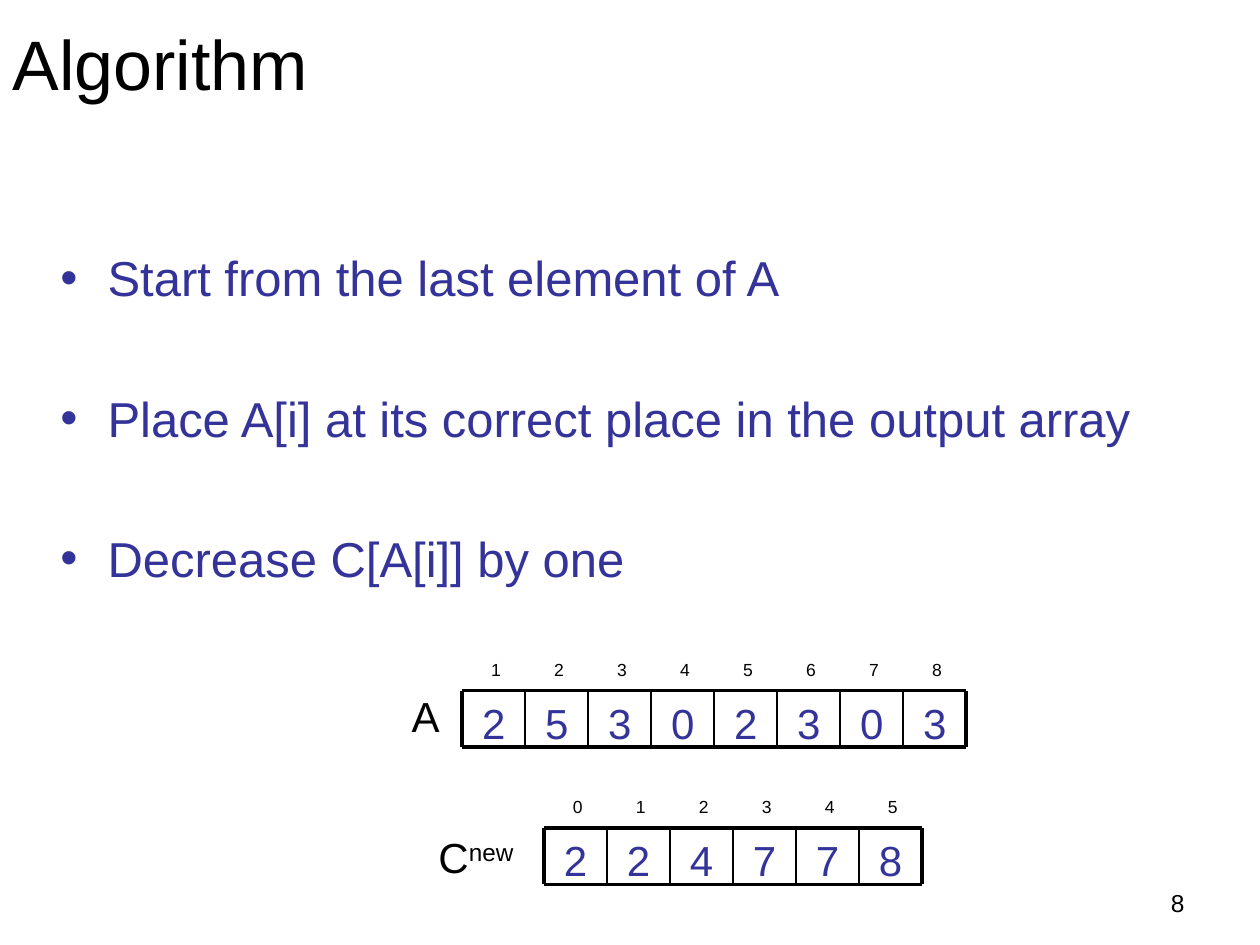
"""Build the slide on placing array elements in counting sort."""
import pptx
import pptx.dml.color
import pptx.enum.shapes
import pptx.enum.text
import pptx.oxml.ns
import pptx.util
from lxml import etree

Cm = pptx.util.Cm
Pt = pptx.util.Pt
qn = pptx.oxml.ns.qn
ALIGN = pptx.enum.text.PP_ALIGN
ANCHOR = pptx.enum.text.MSO_ANCHOR
COLORS = {"ink": "000000", "blue": "333399", "paper": "FFFFFF"}


def write(par, text, size, color="ink"):
    run = par.add_run()
    run.text = text
    run.font.name = "Arial"
    run.font.size = Pt(size)
    run.font.color.rgb = pptx.dml.color.RGBColor.from_string(COLORS[color])
    return run


def rule(x1, y1, x2, y2, width):
    line = slide.shapes.add_connector(
        pptx.enum.shapes.MSO_CONNECTOR.STRAIGHT, Cm(x1), Cm(y1), Cm(x2), Cm(y2))
    line.line.width = Pt(width)
    line.line.color.rgb = pptx.dml.color.RGBColor.from_string(COLORS["ink"])
    etree.SubElement(line._element.spPr, qn("a:effectLst"))


deck = pptx.Presentation()
deck.slide_width, deck.slide_height = Cm(25.4), Cm(19.05)
slide = deck.slides.add_slide(deck.slide_layouts[5])
slide.background.fill.solid()
slide.background.fill.fore_color.rgb = pptx.dml.color.RGBColor.from_string(COLORS["paper"])

title = slide.shapes.title
title.left, title.top, title.width, title.height = Cm(0), Cm(0), Cm(22.86), Cm(2.51)
title.text_frame.vertical_anchor = ANCHOR.MIDDLE
title.text_frame.paragraphs[0].alignment = ALIGN.LEFT
write(title.text_frame.paragraphs[0], "Algorithm", 40)

body = slide.shapes.add_textbox(Cm(0.97), Cm(3.38), Cm(22.86), Cm(14.1)).text_frame
body.word_wrap = True
body.margin_top = Cm(1.62)
steps = [
    "Start from the last element of A",
    "Place A[i] at its correct place in the output array",
    "Decrease C[A[i]] by one",
]
for i, step in enumerate(steps):
    par = body.add_paragraph() if i else body.paragraphs[0]
    props = par._p.get_or_add_pPr()
    props.set("marL", str(Cm(0.95)))
    props.set("indent", str(-Cm(0.95)))
    etree.SubElement(props, qn("a:buFont")).set("typeface", "Arial")
    etree.SubElement(props, qn("a:buChar")).set("char", "•")
    if i:
        par.space_before = Pt(46.4)
    write(par, step, 28, "blue")

cell, high = 1.27, 1.14
rows = [
    ("A", "", (8.05, 13.79, 1.07), 9.32, 13.92, 1, "25302303"),
    ("C", "new", (8.59, 16.64, 2.18), 10.97, 16.69, 0, "224778"),
]
for name, sup, spot, left, top, first, digits in rows:
    right = left + len(digits) * cell
    for i, digit in enumerate(digits):
        x = left + i * cell
        box = slide.shapes.add_textbox(Cm(x), Cm(top), Cm(cell), Cm(high)).text_frame
        box.word_wrap = True
        box.vertical_anchor = ANCHOR.MIDDLE
        box.margin_top, box.margin_bottom = Cm(0.15), Cm(0)
        box.paragraphs[0].alignment = ALIGN.CENTER
        write(box.paragraphs[0], digit, 24, "blue")
        mark = slide.shapes.add_textbox(Cm(x + 0.33), Cm(top - 0.76), Cm(0.55), Cm(0.68))
        mark.text_frame.word_wrap = True
        write(mark.text_frame.paragraphs[0], str(first + i), 10)
    for y in (top, top + high):
        rule(left, y, right, y, 2.25)
    for i in range(len(digits) + 1):
        x = left + i * cell
        rule(x, top, x, top + high, 2.25 if i in (0, len(digits)) else 1)
    x, y, wide = spot
    label = slide.shapes.add_textbox(Cm(x), Cm(y), Cm(wide), Cm(1.27)).text_frame
    label.word_wrap = False
    write(label.paragraphs[0], name, 24)
    if sup:
        run = write(label.paragraphs[0], sup, 24)
        run.font._element.set("baseline", "30000")

page = slide.shapes.add_textbox(Cm(18.21), Cm(17.78), Cm(5.92), Cm(0.89)).text_frame
page.word_wrap = True
page.paragraphs[0].alignment = ALIGN.RIGHT
write(page.paragraphs[0], "8", 14)

deck.save("out.pptx")
